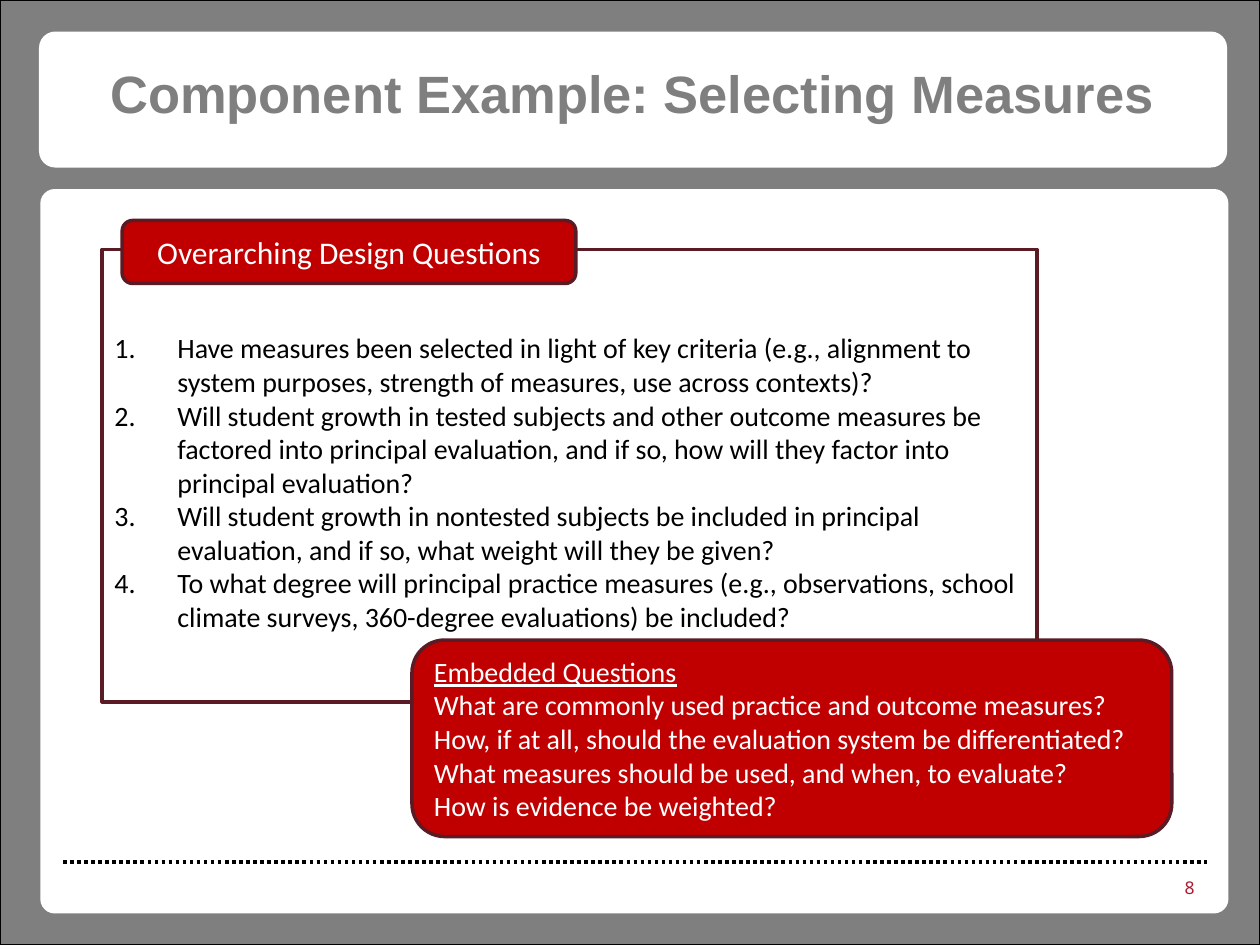
from lxml import etree
from pptx import Presentation
from pptx import util as u
from pptx.dml.color import RGBColor
from pptx.enum import dml, shapes, text
from pptx.oxml.ns import qn

GREY = RGBColor(0x7F, 0x7F, 0x7F)
WHITE = RGBColor(0xFF, 0xFF, 0xFF)
BLACK = RGBColor(0, 0, 0)
RED = RGBColor(0xC0, 0, 0)
MAROON = RGBColor(0x5A, 0x1B, 0x24)
CRIMSON = RGBColor(0xAC, 0x1A, 0x2F)

WIDTH, HEIGHT = u.Inches(10), u.Inches(7.5)
COLUMN, ROW = WIDTH / 100, HEIGHT / 75
RECT = shapes.MSO_SHAPE.RECTANGLE
ROUND = shapes.MSO_SHAPE.ROUNDED_RECTANGLE
LEFT, CENTER, RIGHT = text.PP_ALIGN.LEFT, text.PP_ALIGN.CENTER, text.PP_ALIGN.RIGHT

DESIGN_QUESTIONS = [
    "Have measures been selected in light of key criteria (e.g., alignment to "
    "system purposes, strength of measures, use across contexts)?",
    "Will student growth in tested subjects and other outcome measures be factored "
    "into principal evaluation, and if so, how will they factor into principal evaluation?",
    "Will student growth in nontested subjects be included in principal evaluation, "
    "and if so, what weight will they be given?",
    "To what degree will principal practice measures (e.g., observations, school "
    "climate surveys, 360-degree evaluations) be included?",
]
EMBEDDED_QUESTIONS = [
    "Embedded Questions",
    "What are commonly used practice and outcome measures?",
    "How, if at all, should the evaluation system be differentiated?",
    "What measures should be used, and when, to evaluate?",
    "How is evidence be weighted?",
]


def place(left, top, width, height):
    return [round(n) for n in (left * COLUMN, top * ROW, width * COLUMN, height * ROW)]


def add_panel(page, kind, area, fill, line=None, weight=2, corner=None):
    panel = page.shapes.add_shape(kind, *place(*area))
    panel.shadow.inherit = False
    panel.fill.solid()
    panel.fill.fore_color.rgb = fill
    if line is None:
        panel.line.fill.background()
    else:
        panel.line.color.rgb = line
        panel.line.width = u.Pt(weight)
    if corner is not None:
        panel.adjustments[0] = corner
    return panel


def add_label(page, area, words, align, **font):
    box = page.shapes.add_textbox(*place(*area))
    write(box, [words], align, **font)
    return box


def write(box, lines, align, color, size, **font):
    frame = box.text_frame
    frame.word_wrap = True
    frame.vertical_anchor = text.MSO_ANCHOR.MIDDLE
    for index, line in enumerate(lines):
        para = frame.paragraphs[0] if index == 0 else frame.add_paragraph()
        para.alignment = align
        span = para.add_run()
        span.text = line
        span.font.color.rgb = color
        for key, value in {"name": "Calibri", "size": u.Pt(size), **font}.items():
            setattr(span.font, key, value)


def number_paragraphs(box, indent):
    for para in box.text_frame.paragraphs:
        props = para._p.get_or_add_pPr()
        props.set("marL", str(indent))
        props.set("indent", str(-indent))
        etree.SubElement(props, qn("a:buFont"), typeface="+mj-lt")
        etree.SubElement(props, qn("a:buAutoNum"), type="arabicPeriod")


def add_dotted_rule(page, left, right, row):
    x, y, width, _ = place(left, row, right - left, 0)
    rule = page.shapes.add_connector(shapes.MSO_CONNECTOR.STRAIGHT, x, y, x + width, y)
    rule.line.color.rgb = BLACK
    rule.line.width = u.Pt(2)
    rule.line.dash_style = dml.MSO_LINE.ROUND_DOT
    etree.SubElement(rule._element.spPr, qn("a:effectLst"))


def add_frame(page):
    add_panel(page, RECT, (0, 0, 100, 75), GREY, BLACK, 0.75)
    add_panel(page, ROUND, (3.1, 2.5, 94.3, 10.8), WHITE, corner=0.12)
    add_panel(page, ROUND, (3.2, 15, 94.3, 57.5), WHITE, corner=0.02)
    add_dotted_rule(page, 5, 95.8, 68.4)
    add_label(page, (87.2, 69.1, 8.6, 2.7), "8", RIGHT,
              color=CRIMSON, size=10, name="Noto Sans")


def add_questions(page):
    design = add_panel(page, RECT, (8.1, 19.8, 74.2, 35.9), WHITE, MAROON)
    write(design, DESIGN_QUESTIONS, LEFT, BLACK, 16)
    number_paragraphs(design, u.Inches(0.5))
    design.text_frame.margin_top = u.Inches(0.15)
    heading = add_panel(page, ROUND, (9.7, 17.5, 36, 5), RED, MAROON)
    write(heading, ["Overarching Design Questions"], CENTER, WHITE, 18)
    embedded = add_panel(page, ROUND, (32.7, 50.8, 60.3, 15.6), RED, MAROON)
    write(embedded, EMBEDDED_QUESTIONS, LEFT, WHITE, 16)
    embedded.text_frame.paragraphs[0].runs[0].font.underline = True


def main():
    deck = Presentation()
    deck.slide_width, deck.slide_height = WIDTH, HEIGHT
    page = deck.slides.add_slide(deck.slide_layouts[6])
    add_frame(page)
    add_questions(page)
    title = add_label(page, (3.3, 2.7, 93.8, 10.3), "Component Example: Selecting Measures",
                      CENTER, color=GREY, size=30, name="Arial", bold=True)
    title.text_frame.paragraphs[0].line_spacing = 0.8
    deck.save("out.pptx")


main()
